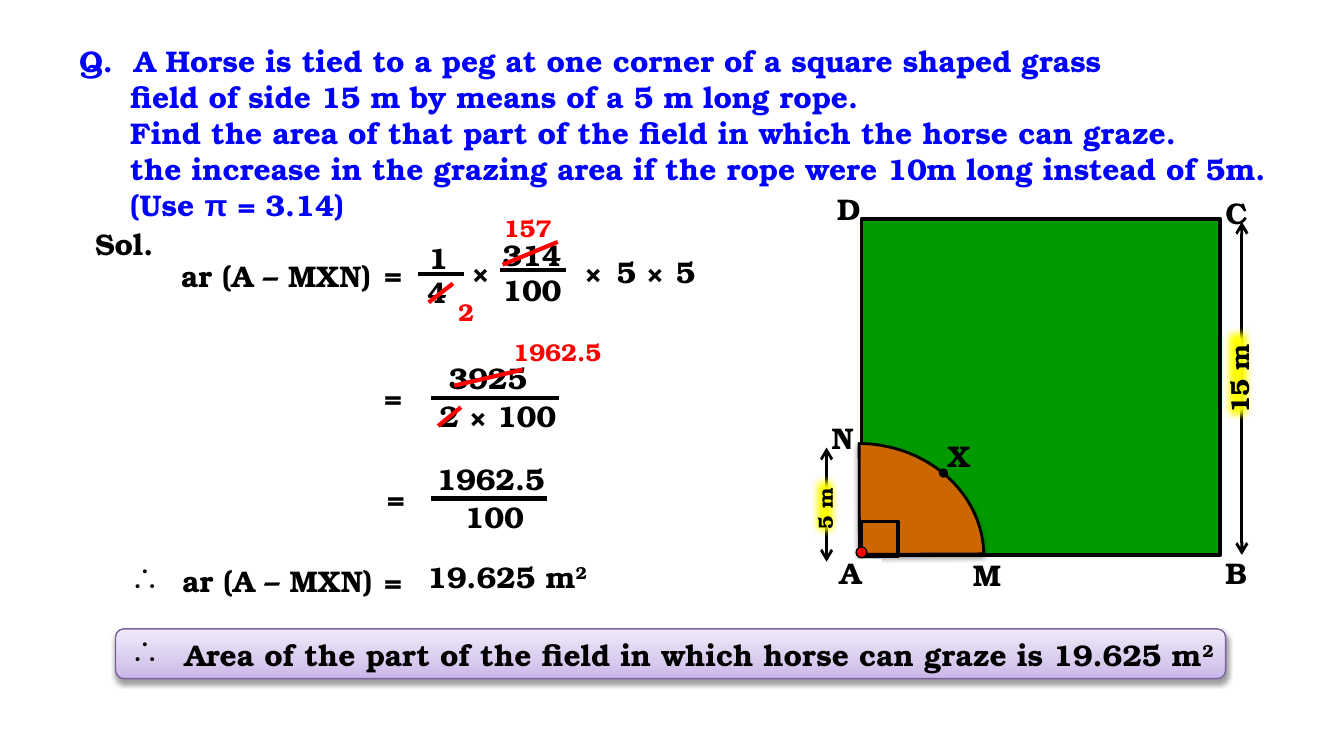
from dataclasses import dataclass
from typing import NamedTuple

from lxml.etree import SubElement
from pptx import Presentation
from pptx.dml.color import RGBColor
from pptx.enum.shapes import MSO_CONNECTOR, MSO_SHAPE
from pptx.enum.text import MSO_ANCHOR, MSO_AUTO_SIZE, PP_ALIGN
from pptx.oxml import parse_xml
from pptx.oxml.ns import nsdecls, qn
from pptx.util import Emu, Inches, Pt

BLACK = RGBColor(0x00, 0x00, 0x00)
WHITE = RGBColor(0xFF, 0xFF, 0xFF)
BLUE = RGBColor(0x00, 0x00, 0xFF)
RED = RGBColor(0xFF, 0x00, 0x00)
GREEN = RGBColor(0x00, 0x99, 0x00)
BROWN = RGBColor(0xCC, 0x66, 0x00)
YELLOW = RGBColor(0xFF, 0xFF, 0x00)
PURPLE = RGBColor(0x7D, 0x60, 0xA0)
LILACS = ((0, RGBColor(0xC9, 0xB5, 0xE8)), (35, RGBColor(0xD8, 0xCB, 0xEE)),
          (100, RGBColor(0xF0, 0xEA, 0xF9)))
SERIF, SANS = "TeX Gyre Bonum", "Arial"

prs = Presentation()
prs.slide_width = Inches(10)
prs.slide_height = Emu(prs.slide_width * 9 // 16)
s = prs.slides.add_slide(prs.slide_layouts[6])
CELL = prs.slide_width / 100  # square grid, 100 columns across the slide


class Box(NamedTuple):
    col: float
    row: float
    cols: float
    rows: float


class Run(NamedTuple):
    text: str
    font: str = SERIF
    raised: bool = False


@dataclass
class Label:
    box: Box
    runs: tuple[Run, ...]
    size: float = 16
    color: RGBColor = BLACK
    align: PP_ALIGN = PP_ALIGN.LEFT
    wrap: bool = True
    inset: float = 0.05  # top and bottom, inches


@dataclass
class Fraction:
    top: str
    top_box: Box
    bottom: str
    bottom_box: Box
    bar: tuple[float, float, float]  # first column, last column, row


def grid(n: float) -> Emu:
    return Emu(round(n * CELL))


def add_runs(p, runs: tuple[Run, ...], size: float, color: RGBColor) -> None:
    for run in runs:
        r = p.add_run()
        r.text = run.text
        r.font.name, r.font.size, r.font.bold = run.font, Pt(size), True
        r.font.color.rgb = color
        if run.raised:
            r.font._element.set("baseline", "30000")


def add_label(label: Label):
    sp = s.shapes.add_textbox(*map(grid, label.box))
    tf = sp.text_frame
    tf.word_wrap, tf.auto_size = label.wrap, MSO_AUTO_SIZE.SHAPE_TO_FIT_TEXT
    tf.margin_top = tf.margin_bottom = Inches(label.inset)
    tf.paragraphs[0].alignment = label.align
    add_runs(tf.paragraphs[0], label.runs, label.size, label.color)
    return tf


def add_math(text: str, box: Box, align: PP_ALIGN = PP_ALIGN.LEFT) -> None:
    add_label(Label(box, (Run(text),), align=align, inset=0))


def add_line(c1: float, r1: float, c2: float, r2: float, color: RGBColor = BLACK,
             width: float = 2.25, arrows: bool = False) -> None:
    line = s.shapes.add_connector(MSO_CONNECTOR.STRAIGHT, *map(grid, (c1, r1, c2, r2)))
    line.line.color.rgb, line.line.width = color, Pt(width)
    if arrows:
        ln = line.line._get_or_add_ln()
        for end in ("a:headEnd", "a:tailEnd"):
            SubElement(ln, qn(end), type="arrow")
    SubElement(line._element.spPr, qn("a:effectLst"))


def add_fraction(f: Fraction) -> None:
    add_math(f.bottom, f.bottom_box)
    add_math(f.top, f.top_box)
    first, last, row = f.bar
    add_line(first, row, last, row)


def add_figure(kind: MSO_SHAPE, box: Box, fill: RGBColor | None,
               line: RGBColor | None = BLACK, width: float = 2):
    sp = s.shapes.add_shape(kind, *map(grid, box))
    sp.shadow.inherit = False
    if fill is None:
        sp.fill.background()
    else:
        sp.fill.solid()
        sp.fill.fore_color.rgb = fill
    if line is None:
        sp.line.fill.background()
    else:
        sp.line.color.rgb, sp.line.width = line, Pt(width)
    return sp


def add_effect(sp, xml: str) -> None:
    sp._element.spPr.find(qn("a:effectLst")).append(parse_xml(xml))


def drop_shadow(sp) -> None:
    add_effect(sp, f'<a:outerShdw {nsdecls("a")} blurRad="{Pt(3.1)}" dist="{Pt(1.6)}" '
                   'dir="5400000" rotWithShape="0"><a:srgbClr val="000000">'
                   '<a:alpha val="38000"/></a:srgbClr></a:outerShdw>')


def add_dimension(text: str, box: Box, size: float, col: float, top: float, bottom: float) -> None:
    """Two-headed arrow with an upright label on a soft yellow patch."""
    add_line(col, top, col, bottom, width=1.5, arrows=True)
    sp = add_figure(MSO_SHAPE.RECTANGLE, box, YELLOW, None)
    sp.rotation = 270
    add_effect(sp, f'<a:softEdge {nsdecls("a")} rad="{Pt(5)}"/>')
    tf = sp.text_frame
    tf.word_wrap, tf.vertical_anchor = True, MSO_ANCHOR.TOP
    tf.paragraphs[0].alignment = PP_ALIGN.LEFT
    add_runs(tf.paragraphs[0], (Run(text),), size, BLACK)


# Answer banner
banner = add_figure(MSO_SHAPE.ROUNDED_RECTANGLE, Box(8.6, 46.8, 82.6, 3.7), WHITE, PURPLE, 0.75)
stops = "".join(f'<a:gs pos="{pos * 1000}"><a:srgbClr val="{c}"/></a:gs>' for pos, c in LILACS)
solid = banner._element.spPr.find(qn("a:solidFill"))
solid.getparent().replace(solid, parse_xml(
    f'<a:gradFill {nsdecls("a")}><a:gsLst>{stops}</a:gsLst><a:lin ang="16200000"/></a:gradFill>'))
drop_shadow(banner)

# Question
QUESTION = (
    (Run("Q.\tA Horse is tied to a peg at one corner of a square shaped grass"),),
    (Run("field of side 15 m by means of a 5 m long rope."),),
    (Run("Find the area of that part of the field in which the horse can graze."),),
    (Run("the increase in the grazing area if the rope were 10m long instead of 5m. (Use "),
     Run("π", SANS), Run(" = 3.14)")),
)
tf = add_label(Label(Box(4.9, 2.7, 91.6, 14.5), QUESTION[0], color=BLUE))
for runs in QUESTION[1:]:
    add_runs(tf.add_paragraph(), runs, 16, BLUE)
for i, p in enumerate(tf.paragraphs):
    pPr = p._p.get_or_add_pPr()
    pPr.set("marL", str(Inches(0.38 if i else 0.41)))
    pPr.set("indent", str(0 if i else -Inches(0.41)))

# Working
add_label(Label(Box(6.1, 16.3, 6.6, 3.7), (Run("Sol."),)))
for col, row in ((8.3, 19.2), (8.4, 41.9)):
    add_math("ar (A – MXN)", Box(col, row, 20.3, 2.7), PP_ALIGN.RIGHT)
for col, row in ((27.6, 19), (27.6, 28.2), (27.8, 35.7), (27.6, 41.9)):
    add_math("=", Box(col, row, 3.3, 2.7), PP_ALIGN.RIGHT)
for text, col in (("×", 34.1), ("×", 42.5), ("5", 44.9), ("×", 47.1), ("5", 49.3)):
    add_math(text, Box(col, 18.9, 3.2 if text == "×" else 3.9, 2.7))
for fraction in (
    Fraction("1", Box(30.9, 17.8, 4.4, 2.7), "4", Box(30.8, 20.4, 3.4, 2.7), (31.1, 34.5, 20.4)),
    Fraction("314", Box(36.4, 17.6, 6.5, 2.7), "100", Box(36.4, 20.2, 6.6, 2.7), (37.2, 42.1, 20.1)),
    Fraction("3925", Box(32.4, 26.8, 8.2, 2.7), "2 × 100", Box(31.7, 29.6, 11.5, 2.7),
             (32.1, 41.6, 29.6)),
    Fraction("1962.5", Box(31.5, 34.3, 10.8, 2.7), "100", Box(33.6, 37.1, 6.6, 2.7),
             (32.1, 40.7, 37.1)),
):
    add_fraction(fraction)

# Cancelled numbers and what replaces them
for strike in ((31.9, 22.5, 33.7, 21.1), (37.4, 19.7, 41.5, 18),
               (32.6, 31.7, 34.3, 30.3), (33.8, 28.7, 38.9, 27.5)):
    add_line(*strike, color=RED)
for text, box in (("2", Box(33.1, 21.6, 3.2, 3.2)), ("157", Box(36.5, 15.4, 5.6, 3.2)),
                  ("1962.5", Box(37.2, 24.6, 8.7, 3.2))):
    add_label(Label(box, (Run(text),), 13, RED, wrap=False))

# Results
SQUARED = Run("2", raised=True)
add_label(Label(Box(30.8, 41.1, 14.2, 3.7), (Run("19.625 m"), SQUARED), wrap=False))
add_label(Label(Box(8.7, 47.4, 82.6, 2.7),
                (Run("Area of the part of the field in which horse can graze is 19.625 m"), SQUARED),
                align=PP_ALIGN.RIGHT, inset=0))
for row in (46.5, 41.1):
    add_label(Label(Box(8.7, row, 3.8, 3.7), (Run("∴", SANS),)))

# Field, grazed quarter, right angle and peg
add_figure(MSO_SHAPE.RECTANGLE, Box(64.1, 16.3, 26.7, 25), GREEN)
add_dimension("15 m", Box(88.2, 26.3, 7.8, 3.1), 14, 92.4, 16.5, 41.3)
quarter = add_figure(MSO_SHAPE.PIE, Box(55.7, 32, 16.5, 18.5), BROWN, width=1.5)
quarter.adjustments[0], quarter.adjustments[1] = 214.4, 52.36
quarter.rotation = 272.5
drop_shadow(quarter)
add_figure(MSO_SHAPE.RECTANGLE, Box(64.1, 38.8, 2.7, 2.6), None)
add_figure(MSO_SHAPE.RECTANGLE, Box(63.6, 41.6, 2, 0.7), WHITE, None)
add_figure(MSO_SHAPE.OVAL, Box(63.7, 40.7, 0.8, 0.8), RED, width=0.75)
add_figure(MSO_SHAPE.OVAL, Box(70, 35, 0.4, 0.4), BLACK)
add_dimension("5 m", Box(58.7, 36.2, 5.4, 2.9), 11, 61.5, 33.3, 41.8)

# Point names
for name, col, row in (("A", 61.5, 40.8), ("B", 90.2, 40.8), ("C", 90.2, 14), ("D", 61.3, 13.7),
                       ("M", 71.4, 40.9), ("N", 60.9, 30.7), ("X", 69.5, 32.1)):
    add_label(Label(Box(col, row, 4.1 if name == "M" else 3.7, 3.7), (Run(name),), wrap=False))

prs.save("out.pptx")
